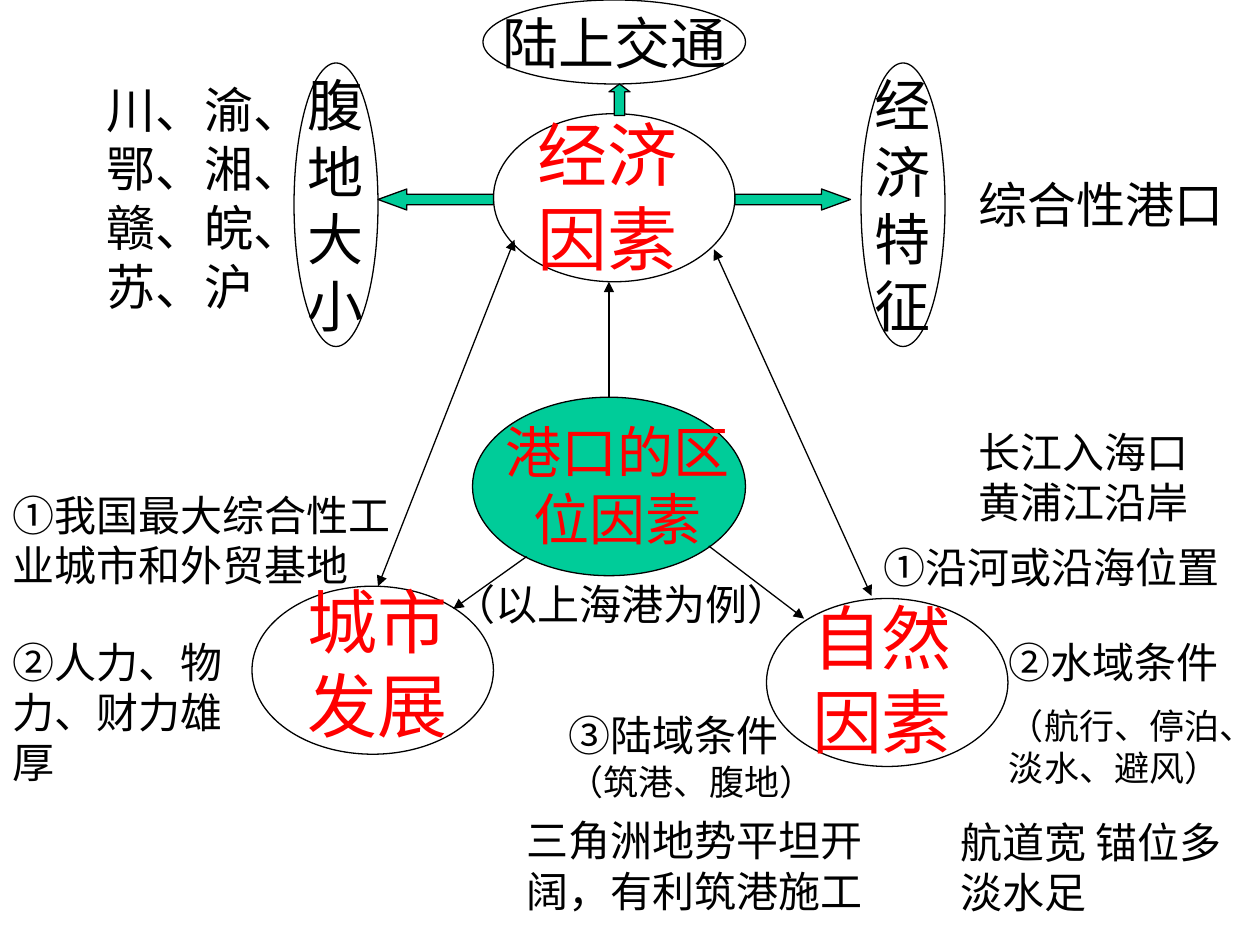
from lxml.etree import SubElement
from pptx import Presentation
from pptx.dml.color import RGBColor
from pptx.enum.shapes import MSO_CONNECTOR, MSO_SHAPE
from pptx.enum.text import MSO_ANCHOR, MSO_AUTO_SIZE, PP_ALIGN
from pptx.oxml.ns import qn
from pptx.util import Pt

BLACK = RGBColor(0x00, 0x00, 0x00)
WHITE = RGBColor(0xFF, 0xFF, 0xFF)
RED = RGBColor(0xFF, 0x00, 0x00)
GREEN = RGBColor(0x00, 0xCC, 0x99)
FONT = "Times New Roman"
NODE_SIZE = (138, 96)


def within(box, left, top, width, height):
    """Return the lengths of a part whose corner is relative to the box."""
    return Pt(box[0] + left), Pt(box[1] + top), Pt(width), Pt(height)


def write(frame, paragraphs, size=24, color=BLACK, align=PP_ALIGN.LEFT, gap=0):
    """Fill a text frame with paragraphs of plain text or (text, size) runs."""
    for index, content in enumerate(paragraphs):
        paragraph = frame.paragraphs[0] if index == 0 else frame.add_paragraph()
        paragraph.alignment = align
        if index:
            paragraph.space_before = Pt(gap)
        runs = [(content, size)] if isinstance(content, str) else content
        for text, run_size in runs:
            run = paragraph.add_run()
            run.text = text
            run.font.name = FONT
            run.font.size = Pt(run_size)
            run.font.color.rgb = color


def add_note(slide, place, *paragraphs, **style):
    """Add a wrapping text box that grows with its text."""
    frame = slide.shapes.add_textbox(*place).text_frame
    frame.word_wrap = True
    frame.auto_size = MSO_AUTO_SIZE.SHAPE_TO_FIT_TEXT
    write(frame, paragraphs, **style)


def add_outlined(slide, kind, place, fill=None):
    """Add a preset shape with a thin black outline."""
    shape = slide.shapes.add_shape(kind, *place)
    shape.shadow.inherit = False
    if fill is None:
        shape.fill.background()
    else:
        shape.fill.solid()
        shape.fill.fore_color.rgb = fill
    shape.line.color.rgb = BLACK
    shape.line.width = Pt(0.75)
    return shape


def add_oval_label(slide, place, *paragraphs):
    """Add an unfilled ellipse with centred text."""
    frame = add_outlined(slide, MSO_SHAPE.OVAL, place).text_frame
    frame.word_wrap = False
    frame.vertical_anchor = MSO_ANCHOR.MIDDLE
    write(frame, paragraphs, size=32, align=PP_ALIGN.CENTER)


def add_block_arrow(slide, kind, place, head):
    """Add a green block arrow with the given head length."""
    arrow = add_outlined(slide, kind, place, GREEN)
    arrow.adjustments[0] = 0.5
    arrow.adjustments[1] = head


def add_link(slide, box, start, end, ends):
    """Add a thin line with triangle heads at the listed ends."""
    points = [Pt(box[i % 2] + value) for i, value in enumerate(start + end)]
    link = slide.shapes.add_connector(MSO_CONNECTOR.STRAIGHT, *points)
    link.line.color.rgb = BLACK
    link.line.width = Pt(0.75)
    for tag in ends:
        SubElement(link.line._get_or_add_ln(), qn(tag), type="triangle")
    SubElement(link._element.spPr, qn("a:effectLst"))


def draw_topic(slide, box):
    """Draw the central topic and its example."""
    add_outlined(slide, MSO_SHAPE.OVAL, within(box, 18, 0, 156, 102), GREEN)
    add_note(slide, within(box, 29, 8, 144, 84), "港口的区位因素",
             size=32, color=RED, align=PP_ALIGN.CENTER)
    add_note(slide, within(box, 0, 100, 210, 36), "（以上海港为例）")


def draw_economy(slide, box):
    """Draw the economic factors with their three branches."""
    add_outlined(slide, MSO_SHAPE.OVAL, within(box, 228, 65, *NODE_SIZE), WHITE)
    add_note(slide, within(box, 246, 60, 114, 103), "经济因素", size=40, color=RED)
    for kind, place, head in (
        (MSO_SHAPE.LEFT_ARROW, (162, 108, 66, 12), 1.375),
        (MSO_SHAPE.RIGHT_ARROW, (366, 108, 66, 12), 1.375),
        (MSO_SHAPE.UP_ARROW, (294, 48, 12, 18), 0.375),
    ):
        add_block_arrow(slide, kind, within(box, *place), head)
    add_note(slide, within(box, 0, 42, 138, 142), "川、渝、鄂、湘、赣、皖、苏、沪", size=28)
    add_note(slide, within(box, 498, 96, 168, 41), "综合性港口", size=28)
    add_oval_label(slide, within(box, 114, 36, 48, 162), *"腹地大小")
    add_oval_label(slide, within(box, 438, 36, 48, 162), *"经济特征")
    add_oval_label(slide, within(box, 222, 0, 150, 48), "陆上交通")


def draw_city(slide, box):
    """Draw the city development factor and its notes."""
    add_outlined(slide, MSO_SHAPE.OVAL, within(box, 144, 59, *NODE_SIZE), WHITE)
    add_note(slide, within(box, 155.5, 51, 120, 103), "城市发展",
             size=40, color=RED, align=PP_ALIGN.CENTER)
    add_note(slide, within(box, 0, 0, 234, 65), "①我国最大综合性工业城市和外贸基地")
    add_note(slide, within(box, 0, 84, 138, 94), "②人力、物力、财力雄厚")


def draw_nature(slide, box):
    """Draw the natural factors and their notes."""
    add_outlined(slide, MSO_SHAPE.OVAL, within(box, 144, 102, *NODE_SIZE), WHITE)
    add_note(slide, within(box, 150, 96, 120, 103), "自然因素",
             size=40, color=RED, align=PP_ALIGN.CENTER)
    add_note(slide, within(box, 258, 0, 150, 65), "长江入海口黄浦江沿岸")
    add_note(slide, within(box, 204, 66, 222, 36), "①沿河或沿海位置")
    add_note(slide, within(box, 275.5, 120, 164, 96), "②水域条件",
             [("（航行、停泊、淡水、避风）", 20)], gap=10)
    add_note(slide, within(box, 24, 162, 161, 60),
             [("③陆域条件", 24), ("（筑港、腹地）", 20)])
    add_note(slide, within(box, 0, 222, 222, 65), "三角洲地势平坦开阔，有利筑港施工")
    add_note(slide, within(box, 247.5, 223, 178.5, 65), "航道宽 锚位多淡水足")


def draw_links(slide, box):
    """Draw the lines between the topic and its factors."""
    for start, end in (
        ((348, 227), (348, 161)),
        ((301, 318), (259, 348)),
        ((405, 312), (459.5, 353.5)),
    ):
        add_link(slide, box, start, end, ["a:tailEnd"])
    for start, end in (((294, 137), (216, 335)), ((408, 142.5), (498, 340.5))):
        add_link(slide, box, start, end, ["a:headEnd", "a:tailEnd"])


def main():
    """Build and save the slide."""
    deck = Presentation()
    deck.slide_width, deck.slide_height = Pt(720), Pt(540)
    slide = deck.slides.add_slide(deck.slide_layouts[6])
    draw_economy(slide, (54, 0, 666, 198))
    draw_city(slide, (0, 276, 282, 178))
    draw_nature(slide, (294, 240, 440, 288))
    draw_topic(slide, (252, 227, 210, 136))
    draw_links(slide, (0, 0, 720, 540))
    deck.save("out.pptx")


if __name__ == "__main__":
    main()
